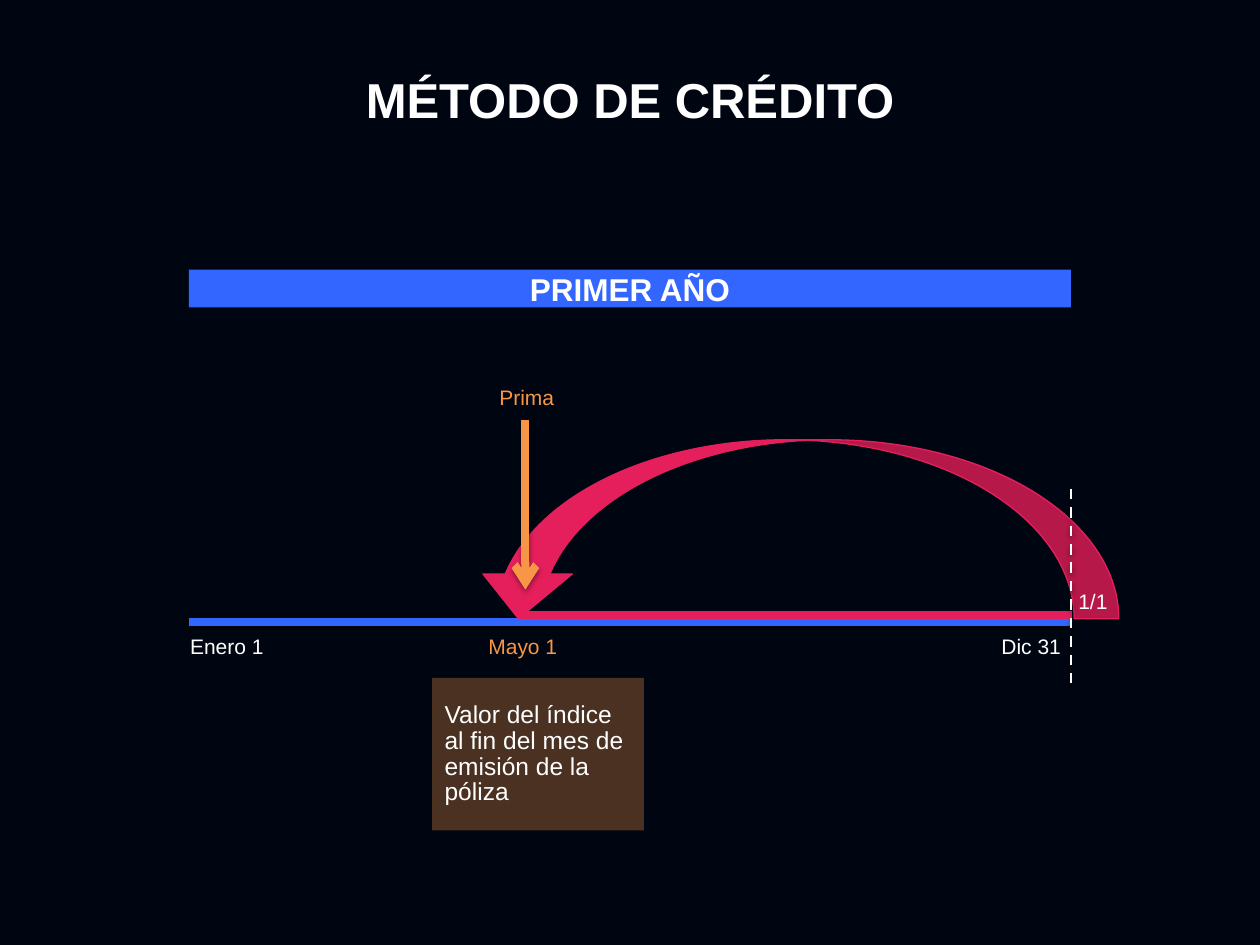
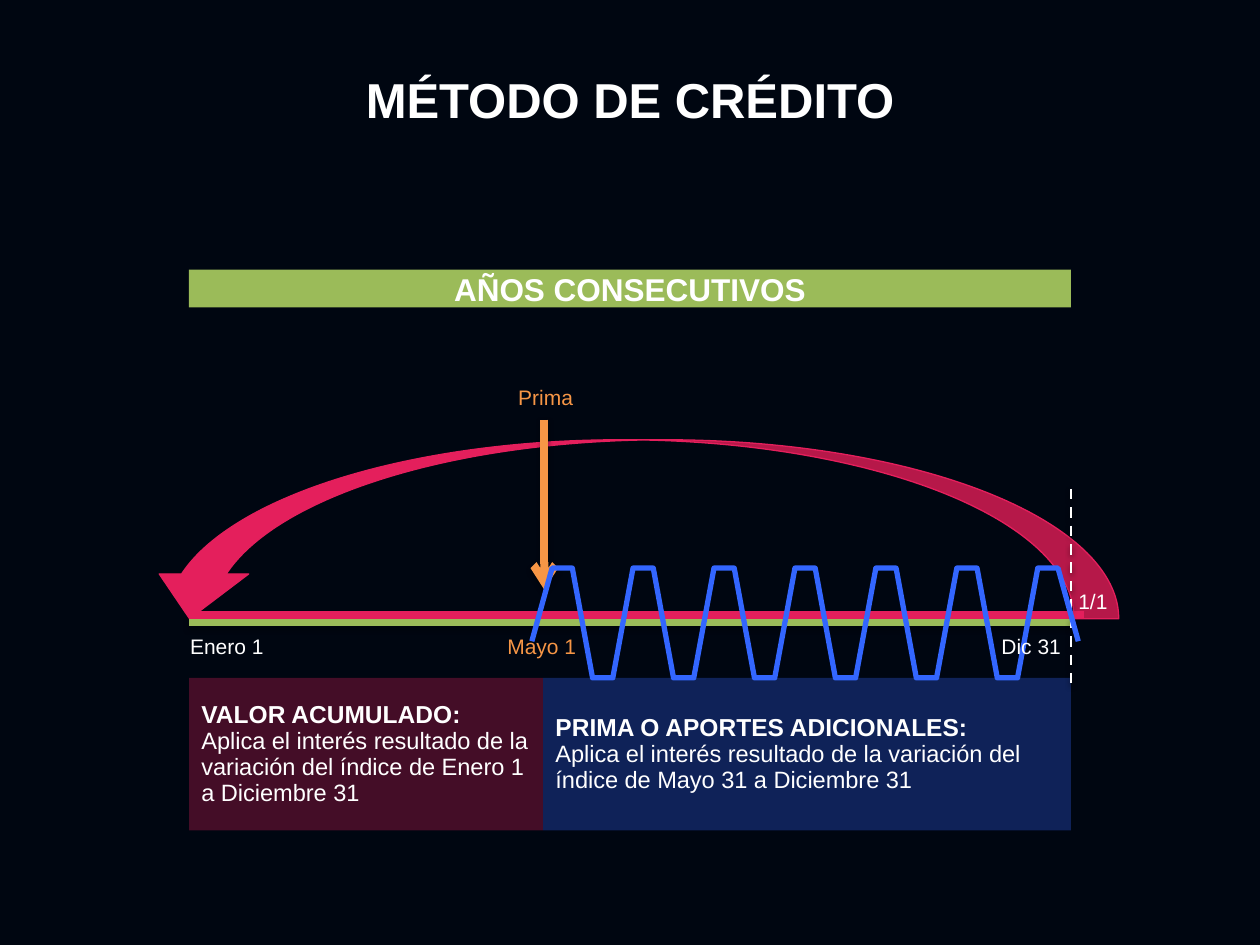
from dataclasses import dataclass

from lxml import etree
from pptx import Presentation
from pptx.chart.data import XyChartData
from pptx.dml.color import RGBColor
from pptx.enum.chart import XL_CHART_TYPE
from pptx.enum.dml import MSO_LINE
from pptx.enum.shapes import MSO_CONNECTOR, MSO_SHAPE
from pptx.enum.text import MSO_ANCHOR, PP_ALIGN
from pptx.oxml.ns import qn
from pptx.util import Inches, Pt

LEFT, CENTER = PP_ALIGN.LEFT, PP_ALIGN.CENTER
TOP, MIDDLE = MSO_ANCHOR.TOP, MSO_ANCHOR.MIDDLE
DASH = MSO_LINE.DASH
RECTANGLE, CURVED_ARROW = MSO_SHAPE.RECTANGLE, MSO_SHAPE.CURVED_DOWN_ARROW
STRAIGHT = MSO_CONNECTOR.STRAIGHT
SMOOTH_SCATTER = XL_CHART_TYPE.XY_SCATTER_SMOOTH_NO_MARKERS
TITLE_ONLY = 5


@dataclass(frozen=True)
class Theme:
    font: str = "Arial"
    chart_font: str = "Calibri"
    background: str = "000611"
    white: str = "FFFFFF"
    black: str = "000000"
    blue: str = "3366FF"
    green: str = "9BBB59"
    orange: str = "F79646"
    pink: str = "E41F5C"
    title_size: float = 28
    band_size: float = 18
    label_size: float = 12
    heading_size: float = 14
    detail_size: float = 13.5
    note_spacing: float = 14.8
    thick: float = 4.5
    note_opacity: int = 30


# Shared frame of the timeline
YEAR_START, YEAR_END = 1.5, 8.5
AXIS_Y, RETURN_Y = 4.94, 4.88
LABEL_Y, LABEL_HEIGHT = 4.98, 0.3
ARC_TOP, ARC_HEIGHT, ARC_END = 3.49, 1.42, 8.88
NOTE_TOP, NOTE_HEIGHT = 5.38, 1.21


class SlideBuilder:
    """Holds the deck, its style and the slide being drawn."""

    def __init__(self, deck, theme):
        self.deck = deck
        self.theme = theme
        self.page = None
        self.paint(deck.slide_master.background.fill, theme.background)

    def paint(self, fill, color):
        fill.solid()
        fill.fore_color.rgb = RGBColor.from_string(color)

    def style_font(self, font, size, color, bold=False):
        font.name = self.theme.font
        font.size = Pt(size)
        font.bold = bold
        font.color.rgb = RGBColor.from_string(color)

    def add_text(self, frame, lines, color, align=LEFT, anchor=TOP, spacing=None):
        """Each line is a (text, size, bold) run in a paragraph of its own."""
        frame.word_wrap = True
        frame.vertical_anchor = anchor
        for index, (text, size, bold) in enumerate(lines):
            para = frame.add_paragraph() if index else frame.paragraphs[0]
            para.alignment = align
            if spacing:
                para.line_spacing = Pt(spacing)
            span = para.add_run()
            span.text = text
            self.style_font(span.font, size, color, bold)

    def new_page(self, title):
        self.page = self.deck.slides.add_slide(self.deck.slide_layouts[TITLE_ONLY])
        box = self.page.shapes.title
        box.left, box.top = Inches(0), Inches(0.5)
        box.width, box.height = Inches(10), Inches(0.57)
        self.add_text(box.text_frame, [(title, self.theme.title_size, True)],
                      self.theme.white, CENTER)

    def label(self, text, left, top, width, color=None, align=LEFT):
        box = self.page.shapes.add_textbox(
            Inches(left), Inches(top), Inches(width), Inches(LABEL_HEIGHT))
        self.add_text(box.text_frame, [(text, self.theme.label_size, False)],
                      color or self.theme.white, align)

    def shape(self, kind, left, top, width, height, color):
        box = self.page.shapes.add_shape(
            kind, Inches(left), Inches(top), Inches(width), Inches(height))
        box.shadow.inherit = False
        self.paint(box.fill, color)
        box.line.fill.background()
        return box

    def band(self, text, color):
        box = self.shape(RECTANGLE, YEAR_START, 2.14, YEAR_END - YEAR_START, 0.3, color)
        frame = box.text_frame
        frame.margin_left = frame.margin_right = 0
        frame.margin_top = frame.margin_bottom = 0
        self.add_text(frame, [(text, self.theme.band_size, True)],
                      self.theme.white, CENTER)

    def note(self, left, width, color, lines):
        box = self.shape(RECTANGLE, left, NOTE_TOP, width, NOTE_HEIGHT, color)
        tint = box._element.spPr.find(".//" + qn("a:srgbClr"))
        etree.SubElement(tint, qn("a:alpha"), val=str(self.theme.note_opacity * 1000))
        self.add_text(box.text_frame, lines, self.theme.white, LEFT, MIDDLE,
                      self.theme.note_spacing)

    def arc(self, left):
        box = self.shape(CURVED_ARROW, left, ARC_TOP, ARC_END - left, ARC_HEIGHT,
                         self.theme.pink)
        self.paint(box.line.fill, self.theme.pink)
        box.line.width = Pt(0.75)
        box._element.spPr.find(qn("a:xfrm")).set("flipH", "1")

    def line(self, start, end, color, width=None, dash=None, arrow=False, shadow=True):
        link = self.page.shapes.add_connector(
            STRAIGHT, *(Inches(value) for value in (*start, *end)))
        self.paint(link.line.fill, color)
        link.line.width = Pt(width or self.theme.thick)
        if dash:
            link.line.dash_style = dash
        properties = link._element.spPr
        if arrow:
            etree.SubElement(properties.find(qn("a:ln")), qn("a:tailEnd"), type="arrow")
        effects = etree.SubElement(properties, qn("a:effectLst"))
        if shadow:
            cast = etree.SubElement(
                effects, qn("a:outerShdw"), blurRad=str(Pt(3.1)), dist=str(Pt(1.6)),
                dir="5400000", rotWithShape="0")
            shade = etree.SubElement(cast, qn("a:srgbClr"), val=self.theme.black)
            etree.SubElement(shade, qn("a:alpha"), val="38000")

    def wave(self, left, top, width, height, values):
        data = XyChartData()
        points = data.add_series("Series 1")
        for x, y in enumerate(values, start=1):
            points.add_data_point(x, y)
        chart = self.page.shapes.add_chart(
            SMOOTH_SCATTER, Inches(left), Inches(top), Inches(width), Inches(height),
            data).chart
        chart.has_legend = chart.has_title = False
        chart.font.name = self.theme.chart_font
        chart.font.size = Pt(18)
        chart.font.color.rgb = RGBColor.from_string(self.theme.black)
        for axis, low, high in ((chart.category_axis, 0, 30),
                                (chart.value_axis, -75, 125)):
            axis.minimum_scale, axis.maximum_scale = low, high
            axis.has_major_gridlines = False
            axis.visible = False
        chart.plots[0].vary_by_categories = False
        series = chart.plots[0].series[0]
        series.smooth = True
        self.paint(series.format.line.fill, self.theme.blue)
        series.format.line.width = Pt(3)

    def timeline(self, heading, color, arc_left, premium_x, return_span, notes,
                 wave_values=None):
        theme = self.theme
        self.arc(arc_left)
        # Year axis and premium
        self.line((YEAR_START, AXIS_Y), (YEAR_END, AXIS_Y), color)
        self.label("Enero 1", 1.41, LABEL_Y, 0.98)
        self.line((premium_x, 3.33), (premium_x, 4.68), theme.orange, arrow=True)
        self.band(heading, color)
        self.label("Prima", premium_x - 0.8, 3, 1.62, theme.orange, CENTER)
        # Return line, notes and year end
        first, last = return_span
        self.line((first, RETURN_Y), (last, RETURN_Y), theme.pink, shadow=False)
        for note in notes:
            self.note(*note)
        self.line((YEAR_END, 3.88), (YEAR_END, 5.45), theme.white, 1.5, DASH)
        if wave_values:
            self.wave(3.96, 4.34, 5.02, 1.21, wave_values)
        # Dates lie above the wave
        self.label("Mayo 1", premium_x - 0.52, LABEL_Y, 1, theme.orange, CENTER)
        self.label("Dic 31", 7.85, LABEL_Y, 1.06)
        self.label("1/1", 8.46, 4.62, 1.06)


def main():
    deck = Presentation()
    deck.slide_width, deck.slide_height = Inches(10), Inches(7.5)
    theme = Theme()
    builder = SlideBuilder(deck, theme)
    title = "MÉTODO DE CRÉDITO"

    # First year
    builder.new_page(title)
    index_value = [("Valor del índice al fin del mes de emisión de la póliza",
                    theme.heading_size, False)]
    builder.timeline("PRIMER AÑO", theme.blue, 3.76, 4.17, (4.11, 8.51),
                     [(3.43, 1.68, theme.orange, index_value)])

    # Following years
    builder.new_page(title)
    accumulated = [
        ("VALOR ACUMULADO:", theme.heading_size, True),
        ("Aplica el interés resultado de la variación del índice de Enero 1 "
         "a Diciembre 31", theme.detail_size, False)]
    additional = [
        ("PRIMA O APORTES ADICIONALES:", theme.heading_size, True),
        ("Aplica el interés resultado de la variación del índice de Mayo 31 "
         "a Diciembre 31", theme.detail_size, False)]
    split = 4.31
    builder.timeline("AÑOS CONSECUTIVOS", theme.green, 1.15, 4.32, (YEAR_START, 8.6),
                     [(YEAR_START, split - YEAR_START, theme.pink, accumulated),
                      (split, YEAR_END - split, theme.blue, additional)],
                     [0] + [100, 100, -50, -50] * 6 + [100, 100, 0])

    deck.save("out.pptx")


if __name__ == "__main__":
    main()
